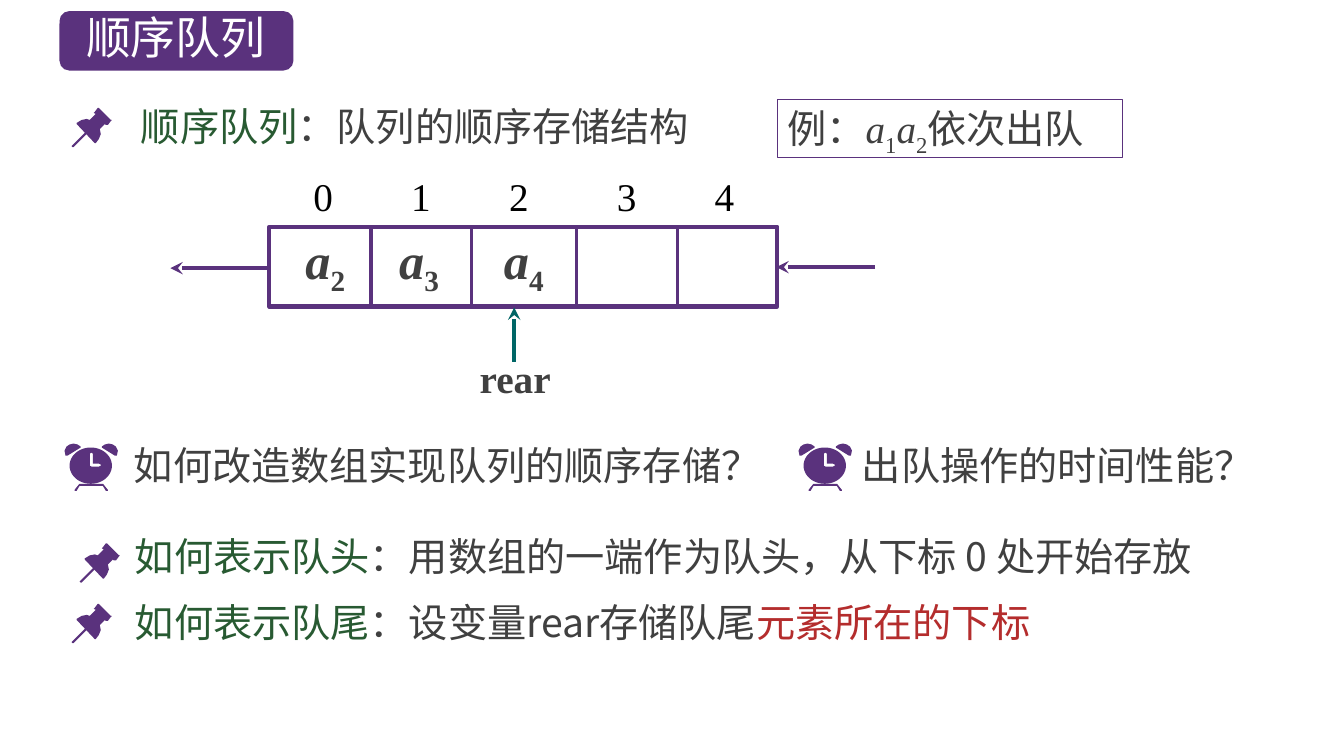
from math import cos, pi, sin

from lxml.etree import SubElement
from pptx import Presentation
from pptx.dml.color import RGBColor
from pptx.enum.shapes import MSO_CONNECTOR, MSO_SHAPE
from pptx.enum.text import MSO_ANCHOR, PP_ALIGN
from pptx.oxml.ns import qn
from pptx.util import Inches, Pt

PURPLE = RGBColor(0x5A, 0x32, 0x7D)
GREEN = RGBColor(0x28, 0x5A, 0x32)
TEAL = RGBColor(0x00, 0x66, 0x66)
RED = RGBColor(0xB4, 0x2D, 0x2D)
GRAY = RGBColor(0x40, 0x40, 0x40)
BLACK = RGBColor(0x00, 0x00, 0x00)
WHITE = RGBColor(0xFF, 0xFF, 0xFF)
SANS = "Noto Sans CJK SC"
SERIF = "Times New Roman"

# Icon outlines, in inches from the icon's top left corner
PIN_HEAD = [(0.39, 0.12), (0.27, 0), (0.26, 0), (0.23, 0.04), (0.22, 0.05),
            (0.24, 0.06), (0.18, 0.12), (0.15, 0.11), (0.1, 0.12),
            (0.05, 0.15), (0.05, 0.16), (0.23, 0.35), (0.24, 0.35),
            (0.27, 0.31), (0.29, 0.26), (0.28, 0.21), (0.33, 0.16),
            (0.34, 0.17), (0.36, 0.17), (0.39, 0.13), (0.4, 0.12)]
PIN_NEEDLE = [(0.02, 0.39), (0.01, 0.39), (0, 0.38), (0.01, 0.37),
              (0.14, 0.24), (0.15, 0.24), (0.16, 0.25), (0.15, 0.26)]
CLOCK_WIDTH = 0.53
CLOCK_FEET = [(0.43, 0.46), (0.39, 0.41), (0.38, 0.4), (0.15, 0.4),
              (0.14, 0.41), (0.1, 0.46), (0.1, 0.47), (0.12, 0.47),
              (0.15, 0.42), (0.38, 0.42), (0.41, 0.47), (0.43, 0.47)]
CLOCK_BELL = [(0.09, 0), (0.05, 0.01), (0.02, 0.03), (0, 0.07), (0.01, 0.12),
              (0.03, 0.12), (0.16, 0.04), (0.16, 0.03), (0.13, 0.01)]
CLOCK_FACE = [(0.26 + 0.21 * cos(step * pi / 24), 0.22 + 0.18 * sin(step * pi / 24))
              for step in range(48)]
CLOCK_HANDS = [(0.34, 0.23), (0.27, 0.23), (0.25, 0.22), (0.25, 0.1),
               (0.27, 0.09), (0.28, 0.1), (0.28, 0.2), (0.34, 0.2),
               (0.36, 0.21), (0.36, 0.22)]


class SlideBuilder:
    """Holds the slide and its default style."""

    def __init__(self, slide, accent=PURPLE, size=28):
        self.slide = slide
        self.accent = accent
        self.size = size

    def fill_text(self, shape, pieces, font=SANS, size=None, bold=False, align=PP_ALIGN.LEFT):
        """Each piece is (text, colour) or (text, colour, "italic" or "subscript")."""
        frame = shape.text_frame
        frame.word_wrap = True
        frame.vertical_anchor = MSO_ANCHOR.TOP
        paragraph = frame.paragraphs[0]
        paragraph.alignment = align
        for text, color, *style in pieces:
            run = paragraph.add_run()
            run.text = text
            run.font.size = Pt(size or self.size)
            run.font.bold = bold
            run.font.italic = "italic" in style
            run.font.color.rgb = color
            run.font.name = font
            properties = run._r.get_or_add_rPr()
            SubElement(properties, qn("a:ea")).set("typeface", SANS)
            if "subscript" in style:
                properties.set("baseline", "-25000")
        return paragraph

    def text(self, left, top, width, height, pieces, **style):
        shape = self.slide.shapes.add_textbox(
            Inches(left), Inches(top), Inches(width), Inches(height))
        return self.fill_text(shape, pieces, **style)

    def box(self, kind, left, top, width, height, line_width=None):
        """An outlined box, or a filled one when no line width is given."""
        shape = self.slide.shapes.add_shape(
            kind, Inches(left), Inches(top), Inches(width), Inches(height))
        shape.shadow.inherit = False
        if line_width:
            shape.fill.background()
            shape.line.color.rgb = self.accent
            shape.line.width = Pt(line_width)
        else:
            shape.fill.solid()
            shape.fill.fore_color.rgb = self.accent
            shape.line.fill.background()
        return shape

    def line(self, start, end, width=3, color=None, arrow=False):
        connector = self.slide.shapes.add_connector(
            MSO_CONNECTOR.STRAIGHT, *map(Inches, start + end))
        connector.line.color.rgb = color or self.accent
        connector.line.width = Pt(width)
        properties = connector._element.spPr
        if arrow:
            SubElement(properties.find(qn("a:ln")), qn("a:tailEnd")).set("type", "stealth")
        SubElement(properties, qn("a:effectLst"))

    def outline(self, left, top, *contours):
        """A filled outline; contours after the first are holes."""
        moved = [[(Inches(left + x), Inches(top + y)) for x, y in contour]
                 for contour in contours]
        builder = self.slide.shapes.build_freeform(*moved[0][0])
        builder.add_line_segments(moved[0][1:], close=True)
        for hole in moved[1:]:
            builder.move_to(*hole[0])
            builder.add_line_segments(hole[1:], close=True)
        shape = builder.convert_to_shape()
        shape.shadow.inherit = False
        shape.fill.solid()
        shape.fill.fore_color.rgb = self.accent
        shape.line.fill.background()

    def pin(self, left, top):
        self.outline(left, top, PIN_HEAD)
        self.outline(left, top, PIN_NEEDLE)

    def clock(self, left, top):
        self.outline(left, top, CLOCK_FEET)
        self.outline(left, top, CLOCK_BELL)
        self.outline(left, top, [(CLOCK_WIDTH - x, y) for x, y in CLOCK_BELL])
        self.outline(left, top, CLOCK_FACE, CLOCK_HANDS)


def main():
    presentation = Presentation()
    presentation.slide_width = Inches(13.33)
    presentation.slide_height = Inches(7.5)
    builder = SlideBuilder(presentation.slides.add_slide(presentation.slide_layouts[6]))

    # Title
    builder.box(MSO_SHAPE.ROUNDED_RECTANGLE, 0.59, 0.11, 2.32, 0.59)
    builder.text(0.71, 0.05, 2.07, 0.64, [("顺序队列", WHITE)], size=32, align=PP_ALIGN.CENTER)

    # Definition and example
    builder.pin(0.71, 1.07)
    builder.text(1.3, 0.97, 5.92, 0.57, [("顺序队列", GREEN), ("：队列的顺序存储结构", GRAY)])
    example = builder.box(MSO_SHAPE.RECTANGLE, 7.71, 0.99, 3.42, 0.57, line_width=0.75)
    builder.fill_text(example, [
        ("例：", GRAY), ("a", GRAY, "italic"), ("1", GRAY, "subscript"),
        ("a", GRAY, "italic"), ("2", GRAY, "subscript"), ("依次出队", GRAY)], font=SERIF)

    # Array indices, spread by tab stops
    indices = builder.text(3.01, 1.66, 4.65, 0.57, [("0\t1\t2\t3\t4", BLACK)], font=SERIF)
    tab_list = SubElement(indices._p.get_or_add_pPr(), qn("a:tabLst"))
    for position in (0.97, 1.94, 3.01, 3.98):
        tab = SubElement(tab_list, qn("a:tab"))
        tab.set("pos", str(Inches(position)))
        tab.set("algn", "l")

    # Array cells and their elements
    top, bottom = 2.25, 3.04
    builder.box(MSO_SHAPE.RECTANGLE, 2.67, top, 5.04, bottom - top, line_width=3)
    for x in (3.68, 4.68, 5.72, 6.72):
        builder.line((x, top), (x, bottom), width=2.25)
    for left, number in ((2.93, "2"), (3.86, "3"), (4.9, "4")):
        builder.text(left, 2.22, 0.64, 0.7,
                     [("a", GRAY, "italic"), (number, GRAY, "subscript")],
                     font=SERIF, size=36, bold=True)

    # Queue direction and rear pointer
    builder.line((8.68, 2.65), (7.7, 2.65), arrow=True)
    builder.line((2.67, 2.66), (1.69, 2.66), arrow=True)
    builder.line((5.1, 3.59), (5.1, 3.05), color=TEAL, arrow=True)
    builder.text(4.66, 3.47, 1.13, 0.57, [("rear", GRAY)], font=SERIF, bold=True)

    # Questions
    for icon_left, left, width, question in (
            (0.64, 1.23, 6.48, "如何改造数组实现队列的顺序存储？"),
            (7.92, 8.45, 4.15, "出队操作的时间性能？")):
        builder.clock(icon_left, 4.4)
        builder.text(left, 4.33, width, 0.57, [(question, GRAY)])

    # Answers
    builder.pin(0.79, 5.39)
    builder.text(1.24, 5.23, 11.3, 0.57, [
        ("如何表示队头", GREEN), ("：用数组的一端作为队头，从下标 0 处开始存放", GRAY)])
    builder.pin(0.71, 5.99)
    builder.text(1.24, 5.89, 10.16, 0.57, [
        ("如何表示队尾", GREEN), ("：设变量rear存储队尾", GRAY), ("元素所在的下标", RED)])

    presentation.save("out.pptx")


if __name__ == "__main__":
    main()
